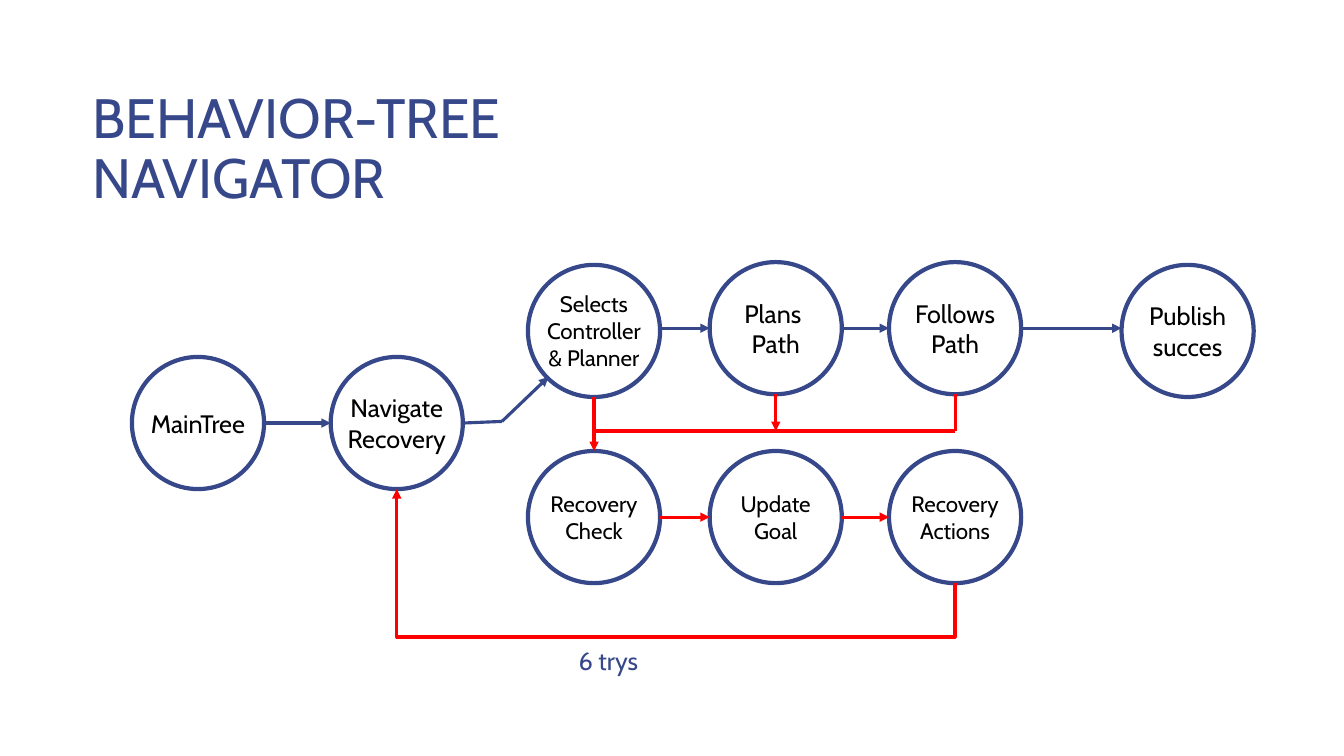
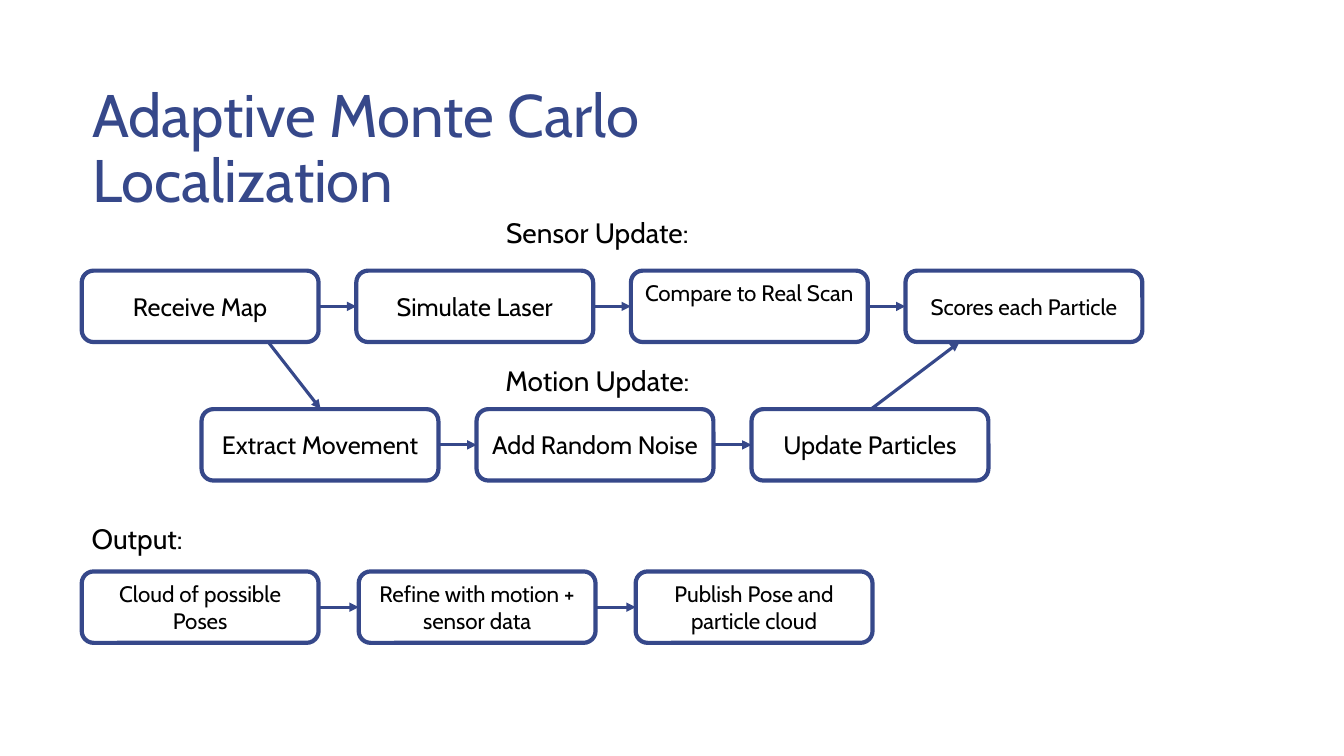
from dataclasses import dataclass
from typing import NamedTuple

from lxml.etree import SubElement
from pptx import Presentation
from pptx.dml.color import RGBColor
from pptx.enum.shapes import MSO_CONNECTOR, MSO_SHAPE
from pptx.enum.text import MSO_ANCHOR, PP_ALIGN
from pptx.oxml.ns import qn
from pptx.util import Cm, Pt


@dataclass(frozen=True)
class Theme:
    blue: RGBColor = RGBColor(0x36, 0x48, 0x8A)
    red: RGBColor = RGBColor(0xFF, 0x00, 0x00)
    black: RGBColor = RGBColor(0x00, 0x00, 0x00)
    font: str = "Cabin"
    small: float = 16
    body: float = 18
    label: float = 20
    edge: float = 3
    wire: float = 2.25


THEME = Theme()


class Point(NamedTuple):
    x: float
    y: float


class Node(NamedTuple):
    """A circle, given by its centre in cm."""
    text: str
    x: float
    y: float
    size: float = THEME.body


class Line(NamedTuple):
    start: Point
    end: Point
    color: RGBColor = THEME.blue
    head: bool = True


class Step(NamedTuple):
    text: str
    size: float = THEME.body
    anchor: MSO_ANCHOR = MSO_ANCHOR.MIDDLE


class Row(NamedTuple):
    """Equal boxes, set out from the left at a fixed pitch in cm."""
    left: float
    top: float
    pitch: float
    steps: list[Step]


class Label(NamedTuple):
    text: str
    left: float
    top: float
    width: float
    size: float
    color: RGBColor = THEME.black
    align: PP_ALIGN = PP_ALIGN.LEFT


# Text
def write(frame, text: str, *, size: float, color: RGBColor = THEME.black,
          align: PP_ALIGN = PP_ALIGN.CENTER, anchor: MSO_ANCHOR = MSO_ANCHOR.MIDDLE,
          wrap: bool = True, pad: tuple[float, float] = (0.25, 0.13),
          space: float = 1.0) -> None:
    frame.text = text
    frame.word_wrap = wrap
    frame.vertical_anchor = anchor
    frame.margin_left = frame.margin_right = Cm(pad[0])
    frame.margin_top = frame.margin_bottom = Cm(pad[1])
    for para in frame.paragraphs:
        para.alignment = align
        para.line_spacing = space
        for run in para.runs:
            run.font.name = THEME.font
            run.font.size = Pt(size)
            run.font.color.rgb = color


def add_title(slide, text: str, width: float, size: float) -> None:
    box = slide.shapes.add_textbox(Cm(2.08), Cm(2.39), Cm(width), Cm(2.79))
    write(box.text_frame, text, size=size, color=THEME.blue,
          align=PP_ALIGN.LEFT, space=0.9)


def add_label(slide, item: Label) -> None:
    box = slide.shapes.add_textbox(Cm(item.left), Cm(item.top), Cm(item.width), Cm(1.1))
    write(box.text_frame, item.text, size=item.size, color=item.color,
          align=item.align, anchor=MSO_ANCHOR.TOP)


# Shapes
def add_frame(slide, kind: MSO_SHAPE, left: float, top: float, width: float, height: float):
    shape = slide.shapes.add_shape(kind, Cm(left), Cm(top), Cm(width), Cm(height))
    shape.shadow.inherit = False
    shape.fill.background()
    shape.line.color.rgb = THEME.blue
    shape.line.width = Pt(THEME.edge)
    return shape


DISC = 3.33
RIM = DISC / 2
BOX_W, BOX_H = 5.97, 1.8


def add_node(slide, node: Node) -> None:
    shape = add_frame(slide, MSO_SHAPE.OVAL, node.x - RIM, node.y - RIM, DISC, DISC)
    write(shape.text_frame, node.text, size=node.size, wrap=False, pad=(0, 0))


def add_row(slide, row: Row) -> None:
    last = None
    for i, step in enumerate(row.steps):
        shape = add_frame(slide, MSO_SHAPE.ROUNDED_RECTANGLE,
                          row.left + i * row.pitch, row.top, BOX_W, BOX_H)
        write(shape.text_frame, step.text, size=step.size, anchor=step.anchor,
              pad=(0.2, 0.12))
        if last is not None:
            link = add_line(slide, Line(Point(0, 0), Point(0, 0)))
            link.begin_connect(last, 3)
            link.end_connect(shape, 1)
        last = shape


# Lines and arrows
def add_line(slide, line: Line, kind: MSO_CONNECTOR = MSO_CONNECTOR.STRAIGHT):
    link = slide.shapes.add_connector(
        kind, Cm(line.start.x), Cm(line.start.y), Cm(line.end.x), Cm(line.end.y))
    link.line.color.rgb = line.color
    link.line.width = Pt(THEME.wire)
    if line.head:
        SubElement(link.line._get_or_add_ln(), qn("a:tailEnd"), type="triangle")
    SubElement(link._element.spPr, qn("a:effectLst"))
    return link


def add_loop(slide, start: Point, end: Point, low: float) -> None:
    """Elbow that drops from start to the level low, then rises to end."""
    mid = Point((start.x + end.x) / 2, (start.y + end.y) / 2)
    rise, run = start.y - end.y, start.x - end.x
    # The elbow is laid out sideways and turned by a quarter
    link = add_line(slide, Line(Point(mid.x + rise / 2, mid.y - run / 2),
                                Point(mid.x - rise / 2, mid.y + run / 2), THEME.red),
                    MSO_CONNECTOR.ELBOW)
    props = link._element.spPr
    props.find(qn("a:xfrm")).set("rot", str(90 * 60000))
    guides = props.find(qn("a:prstGeom")).find(qn("a:avLst"))
    bend = round((start.y - low) / rise * 100000)
    SubElement(guides, qn("a:gd"), name="adj1", fmla=f"val {bend}")


# Slide 1: tree of actions
def draw_tree(slide) -> None:
    add_title(slide, "BEHAVIOR-TREE NAVIGATOR", 17.68, 39.6)
    cols = (4.99, 10.0, 14.97, 19.55, 24.07, 29.93)
    main, high, plan, low = 10.66, 8.34, 8.27, 13.03
    nodes = [
        Node("MainTree", cols[0], main),
        Node("Navigate\nRecovery", cols[1], main),
        Node("Selects\nController\n& Planner", cols[2], high, THEME.small),
        Node("Plans \nPath", cols[3], plan),
        Node("Follows\nPath", cols[4], plan),
        Node("Publish\nsucces", cols[5], high),
        Node("Recovery\nCheck", cols[2], low, THEME.small),
        Node("Update\nGoal", cols[3], low, THEME.small),
        Node("Recovery\nActions", cols[4], low, THEME.small),
    ]
    for node in nodes:
        add_node(slide, node)

    # Level arrows from rim to rim
    flows = [(0, main, THEME.blue), (2, plan, THEME.blue), (3, plan, THEME.blue),
             (4, plan, THEME.blue), (2, low, THEME.red), (3, low, THEME.red)]
    for i, y, color in flows:
        add_line(slide, Line(Point(cols[i] + RIM, y), Point(cols[i + 1] - RIM, y), color))

    # Step up to the planner
    knee = Point(12.65, 10.62)
    add_line(slide, Line(Point(cols[1] + RIM, main), knee, head=False))
    add_line(slide, Line(knee, Point(13.82, 9.5)))

    # Failures join on one rail
    rail = 10.86
    corner = Point(cols[4], rail)
    for line in (
        Line(Point(cols[4], plan + RIM), corner, THEME.red, False),
        Line(corner, Point(cols[2], rail), THEME.red, False),
        Line(Point(cols[3], plan + RIM), Point(cols[3], rail), THEME.red),
        Line(Point(cols[2], high + RIM), Point(cols[2], low - RIM), THEME.red),
    ):
        add_line(slide, line)

    # Retry loop
    add_loop(slide, Point(cols[4], low + RIM), Point(cols[1], main + RIM), 16.05)
    add_label(slide, Label("6 trys", 14.33, 16.13, 2.2, THEME.body, THEME.blue))


# Slide 2: three rows of steps
def draw_filter(slide) -> None:
    add_title(slide, "Adaptive Monte Carlo Localization", 21.56, 42.9)
    small = THEME.small
    rows = [
        Row(2.06, 6.82, 6.92, [
            Step("Receive Map"), Step("Simulate Laser"),
            Step("Compare to Real Scan", small, MSO_ANCHOR.TOP),
            Step("Scores each Particle", small)]),
        Row(5.08, 10.31, 6.93, [
            Step("Extract Movement"), Step("Add Random Noise"), Step("Update Particles")]),
        Row(2.06, 14.4, 6.98, [
            Step("Cloud of possible Poses", small),
            Step("Refine with motion + sensor data", small),
            Step("Publish Pose and particle cloud", small)]),
    ]
    for row in rows:
        add_row(slide, row)

    # Arrows between the top two rows
    base, roof = rows[0].top + BOX_H, rows[1].top
    add_line(slide, Line(Point(6.76, base), Point(8.08, roof)))
    add_line(slide, Line(Point(21.95, roof), Point(24.18, base)))

    # Row names
    for item in (
        Label("Sensor Update:", 12.12, 5.31, 5.87, THEME.label, align=PP_ALIGN.CENTER),
        Label("Motion Update:", 12.17, 9.02, 5.77, THEME.label, align=PP_ALIGN.CENTER),
        Label("Output:", 2.06, 13.0, 5.03, THEME.label),
    ):
        add_label(slide, item)


def main() -> None:
    deck = Presentation()
    deck.slide_width, deck.slide_height = Cm(33.87), Cm(19.05)
    blank = deck.slide_layouts[6]
    for draw in (draw_tree, draw_filter):
        draw(deck.slides.add_slide(blank))
    deck.save("out.pptx")


if __name__ == "__main__":
    main()
